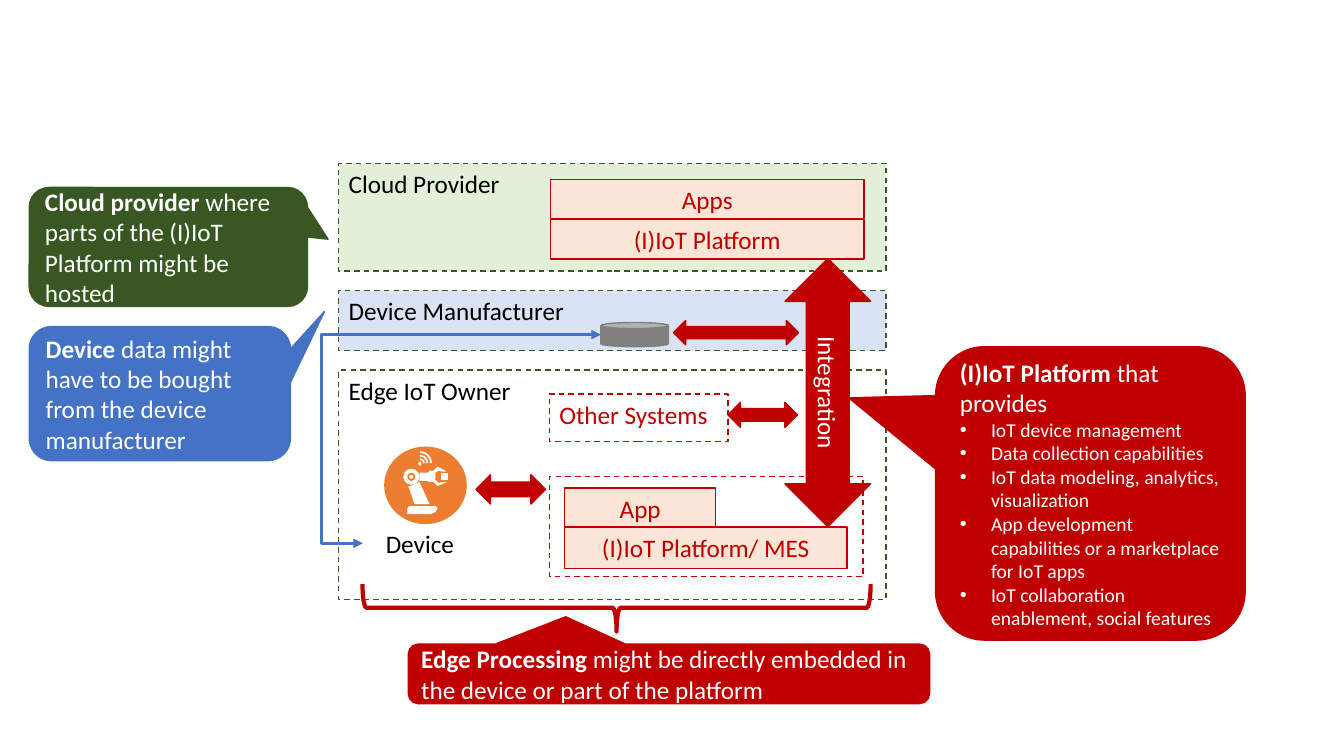
from dataclasses import dataclass
from lxml.etree import SubElement
from pptx import Presentation
from pptx.dml.color import RGBColor
from pptx.enum.dml import MSO_LINE
from pptx.enum.shapes import MSO_CONNECTOR, MSO_SHAPE as KIND
from pptx.enum.text import MSO_ANCHOR, PP_ALIGN
from pptx.oxml.ns import qn
from pptx.util import Inches, Pt


@dataclass(frozen=True)
class Theme:
    font: str = "Calibri"
    body: int = 18
    small: int = 14
    red: str = "C00000"
    green: str = "385723"
    blue: str = "4472C4"
    orange: str = "ED7D31"
    grey: str = "808080"
    mint: str = "E2F0D9"
    sky: str = "DAE3F3"
    peach: str = "FBE5D6"
    white: str = "FFFFFF"
    black: str = "000000"


theme = Theme()
deck = Presentation()
deck.slide_width, deck.slide_height = Inches(13.33), Inches(7.5)
slide = deck.slides.add_slide(deck.slide_layouts[6])

# Grid of 75 rows; columns are as wide as rows are high
UNIT = deck.slide_height / 75


def grid(*cells):
    return [round(cell * UNIT) for cell in cells]


def within(box, x, y, w, h):
    return box[0] + x, box[1] + y, w, h


def paint(shape, fill, line, width=1, dash=False):
    shape.shadow.inherit = False
    if fill:
        shape.fill.solid()
        shape.fill.fore_color.rgb = RGBColor.from_string(fill)
    else:
        shape.fill.background()
    if line:
        shape.line.color.rgb = RGBColor.from_string(line)
        shape.line.width = Pt(width)
        if dash:
            shape.line.dash_style = MSO_LINE.DASH
    else:
        shape.line.fill.background()
    return shape


def draw(kind, box, fill=None, line=None, width=1, dash=False, turn=0):
    shape = slide.shapes.add_shape(kind, *grid(*box))
    shape.rotation = turn
    return paint(shape, fill, line, width, dash)


def style(para, color, size=theme.body, align=PP_ALIGN.LEFT):
    para.alignment = align
    para.font.name, para.font.size = theme.font, Pt(size)
    para.font.color.rgb = RGBColor.from_string(color)


def write(shape, text, color, align=PP_ALIGN.LEFT, anchor=MSO_ANCHOR.TOP):
    frame = shape.text_frame
    frame.word_wrap, frame.vertical_anchor = True, anchor
    frame.text = text
    style(frame.paragraphs[0], color, align=align)


def panel(box, text, fill, line=theme.green, color=theme.black):
    write(draw(KIND.RECTANGLE, box, fill, line, dash=True), text, color)


def block(box, text):
    shape = draw(KIND.RECTANGLE, box, theme.peach, theme.red)
    write(shape, text, theme.red, PP_ALIGN.CENTER)


def arrow(box, turn=0):
    return draw(KIND.LEFT_RIGHT_ARROW, box, theme.red, theme.red, turn=turn)


def callout(box, tip, color, lead, rest, items=()):
    shape = draw(KIND.ROUNDED_RECTANGULAR_CALLOUT, box, color, color)
    shape.adjustments[0], shape.adjustments[1] = tip
    frame = shape.text_frame
    frame.word_wrap, frame.vertical_anchor = True, MSO_ANCHOR.MIDDLE
    para = frame.paragraphs[0]
    style(para, theme.white)
    for text, bold in ((lead, True), (rest, False)):
        run = para.add_run()
        run.text, run.font.bold = text, bold
    for item in items:
        para = frame.add_paragraph()
        para.text = item
        style(para, theme.white, theme.small)
        props = para._p.get_or_add_pPr()
        props.set("marL", str(Inches(0.31)))
        props.set("indent", str(-Inches(0.31)))
        font = props.makeelement(qn("a:buFont"), {"typeface": "Arial"})
        mark = props.makeelement(qn("a:buChar"), {"char": "•"})
        props.insert(0, font)
        props.insert(1, mark)


def cloud(box):
    panel(box, "Cloud Provider", theme.mint)
    for row, text in enumerate(("Apps", "(I)IoT Platform")):
        block(within(box, 21, 1.6 + 4 * row, 31.1, 3.9), text)


def maker(box):
    panel(box, "Device Manufacturer", theme.sky)
    draw(KIND.CAN, within(box, 26, 3.2, 6.7, 2.4), theme.grey, theme.grey)


def robot(box):
    def outline(*points):
        dots = [grid(box[0] + x, box[1] + y) for x, y in points]
        pen = slide.shapes.build_freeform(*dots[0])
        pen.add_line_segments(dots[1:], close=True)
        paint(pen.convert_to_shape(), theme.white, None)

    def disc(x, y, w, h, fill=theme.white):
        draw(KIND.OVAL, within(box, x, y, w, h), fill)

    disc(0.6, 0.5, 8.2, 7.7, theme.orange)
    # Signal waves
    for ray in (0.4, 0.75, 1.1):
        ring = within(box, 4.15 - ray, 2.15 - ray, 2 * ray, 2 * ray)
        draw(KIND.ARC, ring, None, theme.white, 1.25)
    disc(4, 2, 0.3, 0.4)
    # Base, arm and claw
    outline((2.9, 6.6), (3.1, 6.4), (5.7, 6.4), (5.9, 6.6),
            (5.7, 7), (5.2, 7.2), (2.9, 7.2))
    outline((3.6, 6.2), (5.1, 6.2), (4.1, 4), (3.3, 4.4), (3, 4.4))
    outline((5.1, 2.9), (5.5, 2.9), (5.9, 2.5), (6.7, 2.9), (6.7, 3),
            (6.5, 3), (6, 2.9), (5.7, 3.1), (5.7, 3.8), (6, 4.1),
            (6.5, 4), (6.7, 4), (6.7, 4.1), (5.9, 4.4), (5.5, 4),
            (5, 4), (5, 3.9), (4.1, 3.9), (4.1, 3.1), (5, 3.1))
    outline((6.2, 3.1), (6.9, 3.1), (6.9, 3.8), (6.2, 3.8))
    # Joint
    disc(2.5, 2.7, 1.6, 1.6)
    disc(2.9, 3.1, 0.8, 0.8, theme.orange)
    disc(3.1, 3.3, 0.4, 0.4)


def edge(box):
    panel(box, "Edge IoT Owner", None)
    panel(within(box, 20.9, 2.4, 17.7, 4.7), "Other Systems",
          theme.white, theme.red, theme.red)
    draw(KIND.RECTANGLE, within(box, 20.9, 10.6, 31.1, 9.9),
         theme.white, theme.red, dash=True)
    block(within(box, 22.4, 11.7, 15, 4.1), "App")
    block(within(box, 22.4, 15.6, 28, 4.1), "(I)IoT Platform/ MES")
    robot(within(box, 3.9, 7.1, 9.3, 8.7))
    label = slide.shapes.add_textbox(*grid(*within(box, 2.4, 15.2, 11.3, 4)))
    write(label, "Device", theme.black, PP_ALIGN.CENTER)


def flows(box):
    # Device data link
    x, y = box[:2]
    link = slide.shapes.add_connector(
        MSO_CONNECTOR.ELBOW, *grid(x + 26, y + 17, x + 2.4, y + 37.7))
    link.line.color.rgb = RGBColor.from_string(theme.blue)
    link.line.width = Pt(2.25)
    props = link._element.spPr
    bend = props.find(qn("a:prstGeom")).get_or_add_avLst()
    SubElement(bend, qn("a:gd"), name="adj1", fmla="val 117500")
    for end in ("a:headEnd", "a:tailEnd"):
        SubElement(props.find(qn("a:ln")), qn(end), type="triangle")
    SubElement(props, qn("a:effectLst"))
    # Two-way arrows
    for spot in ((13.6, 30.9, 6.9, 2.9), (33.2, 15.6, 12.4, 2.4),
                 (38.6, 23.7, 6.9, 2.5)):
        arrow(within(box, *spot))
    spine = arrow(within(box, 35.2, 18.5, 26.6, 8.5), 90)
    write(spine, "Integration", theme.white, PP_ALIGN.CENTER,
          MSO_ANCHOR.MIDDLE)
    # Brace below the edge
    draw(KIND.RIGHT_BRACE, within(box, 25.2, 18.9, 4.7, 50.4),
         None, theme.red, 3, turn=90)


def notes(box):
    callout(within(box, 0, 0, 27.6, 11.8), (0.574, -0.065), theme.green,
            "Cloud provider ",
            "where parts of the (I)IoT Platform might be hosted")
    callout(within(box, 0, 13.8, 25.9, 13.3), (0.631, -0.614), theme.blue,
            "Device ",
            "data might have to be bought from the device manufacturer")
    callout(within(box, 37.6, 45.3, 51.7, 5.9), (-0.198, -0.96), theme.red,
            "Edge Processing ",
            "might be directly embedded in the device or part of the platform")
    callout(within(box, 89.9, 15.8, 30.7, 29.1), (-0.781, -0.326), theme.red,
            "(I)IoT Platform ", "that provides",
            ("IoT device management", "Data collection capabilities",
             "IoT data modeling, analytics, visualization",
             "App development capabilities or a marketplace for IoT apps",
             "IoT collaboration enablement, social features"))


stack = (33.6, 16.2, 54.3, 43.3)
cloud(within(stack, 0, 0, 54.3, 10.7))
maker(within(stack, 0, 12.6, 54.3, 6))
edge(within(stack, 0, 20.5, 54.3, 22.8))
flows(stack)
notes((2.9, 18.6, 120.6, 51.2))
deck.save("out.pptx")
